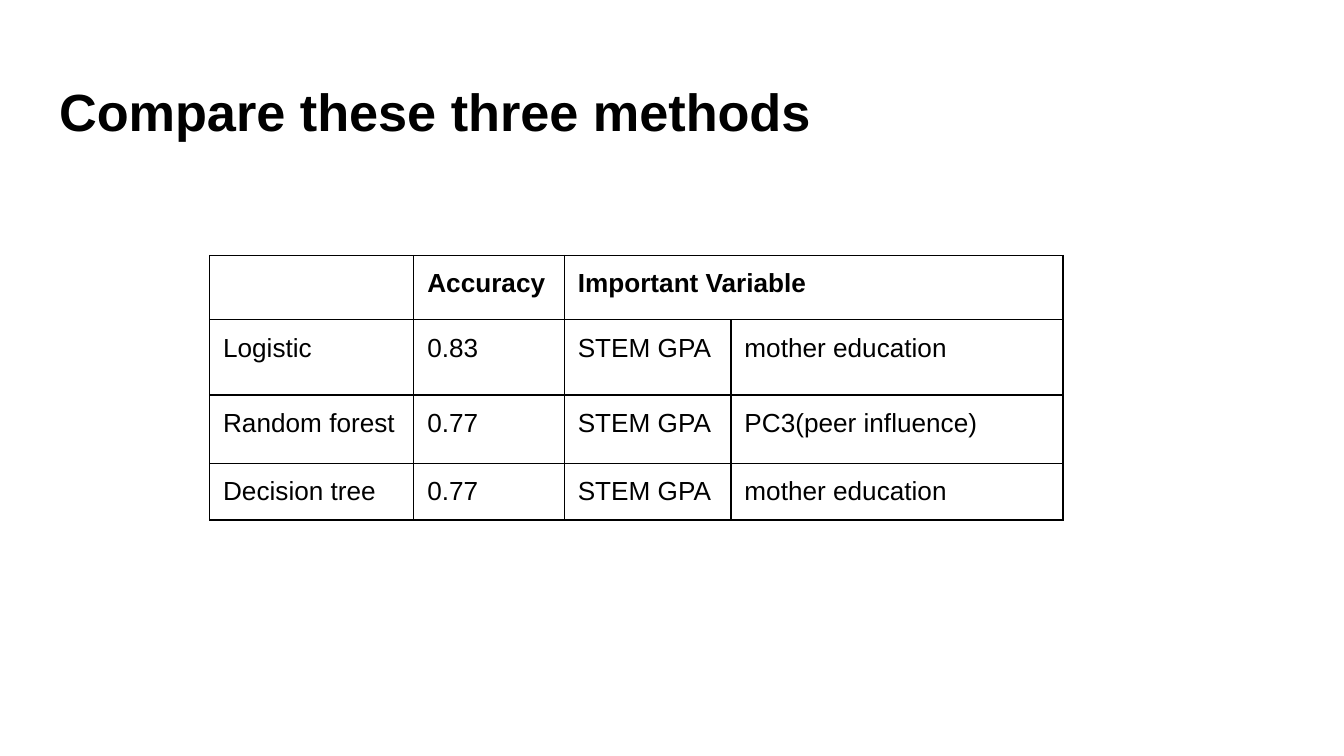
from dataclasses import dataclass

from lxml.etree import SubElement
from pptx import Presentation
from pptx.dml.color import RGBColor
from pptx.enum.text import MSO_ANCHOR, MSO_AUTO_SIZE, PP_ALIGN
from pptx.oxml.ns import qn
from pptx.slide import Slide
from pptx.table import _Cell as Cell
from pptx.text.text import TextFrame
from pptx.util import Inches, Pt


@dataclass(frozen=True)
class Theme:
    font: str = "Arial"
    ink: str = "000000"
    title_size: float = 28
    table_size: float = 14
    border_width: float = 0.75
    inset: float = 0.1


@dataclass(frozen=True)
class Method:
    name: str
    accuracy: str
    first_variable: str
    second_variable: str
    height: float


THEME = Theme()
HEADINGS = ("", "Accuracy", "Important Variable", "")
HEADING_HEIGHT = 0.48
COLUMN_WIDTHS = (1.52, 1.12, 1.24, 2.47)
METHODS = (
    Method("Logistic", "0.83", "STEM GPA", "mother education", 0.56),
    Method("Random forest", "0.77", "STEM GPA", "PC3(peer influence)", 0.51),
    Method("Decision tree", "0.77", "STEM GPA", "mother education", 0.42),
)


def write_text(frame: TextFrame, text: str, *, size: float, bold: bool = False) -> None:
    paragraph = frame.paragraphs[0]
    paragraph.alignment = PP_ALIGN.LEFT
    if not text:
        # An empty cell still needs a type size, which sets its least height
        SubElement(paragraph._p, qn("a:endParaRPr"), sz=str(int(size * 100)))
        return
    run = paragraph.add_run()
    run.text = text
    run.font.name = THEME.font
    run.font.size = Pt(size)
    run.font.bold = bold
    run.font.color.rgb = RGBColor.from_string(THEME.ink)


def set_insets(holder: TextFrame | Cell) -> None:
    for side in ("left", "right", "top", "bottom"):
        setattr(holder, f"margin_{side}", Inches(THEME.inset))


def format_cell(cell: Cell) -> None:
    set_insets(cell)
    cell.vertical_anchor = MSO_ANCHOR.TOP
    properties = cell._tc.get_or_add_tcPr()
    for side in ("lnL", "lnR", "lnT", "lnB"):
        line = SubElement(properties, qn(f"a:{side}"), w=str(Pt(THEME.border_width)))
        fill = SubElement(line, qn("a:solidFill"))
        SubElement(fill, qn("a:srgbClr"), val=THEME.ink)
    # The fill follows the borders in the cell properties
    cell.fill.background()


def add_title(slide: Slide, text: str) -> None:
    title = slide.shapes.title
    title.left, title.top = Inches(0.34), Inches(0.49)
    title.width, title.height = Inches(9.32), Inches(0.63)
    frame = title.text_frame
    set_insets(frame)
    frame.word_wrap = True
    frame.auto_size = MSO_AUTO_SIZE.NONE
    frame.vertical_anchor = MSO_ANCHOR.TOP
    write_text(frame, text, size=THEME.title_size, bold=True)


def add_comparison(slide: Slide) -> None:
    heights = (HEADING_HEIGHT, *(method.height for method in METHODS))
    table = slide.shapes.add_table(
        len(heights), len(COLUMN_WIDTHS), Inches(1.56), Inches(1.9),
        Inches(sum(COLUMN_WIDTHS)), Inches(sum(heights)),
    ).table
    table.horz_banding = False
    table.first_row = False
    for column, width in zip(table.columns, COLUMN_WIDTHS):
        column.width = Inches(width)
    for row, height in zip(table.rows, heights):
        row.height = Inches(height)

    rows = [HEADINGS] + [
        (method.name, method.accuracy, method.first_variable, method.second_variable)
        for method in METHODS
    ]
    for row_index, texts in enumerate(rows):
        for column_index, text in enumerate(texts):
            cell = table.cell(row_index, column_index)
            format_cell(cell)
            write_text(cell.text_frame, text, size=THEME.table_size, bold=row_index == 0)

    # The last heading covers both variable columns
    table.cell(0, 2).merge(table.cell(0, 3))


def main() -> None:
    presentation = Presentation()
    # Widescreen, 16 to 9
    presentation.slide_width = Inches(10)
    presentation.slide_height = Inches(10 * 9 / 16)
    # Title Only layout
    slide = presentation.slides.add_slide(presentation.slide_layouts[5])
    add_title(slide, "Compare these three methods")
    add_comparison(slide)
    presentation.save("out.pptx")


if __name__ == "__main__":
    main()
